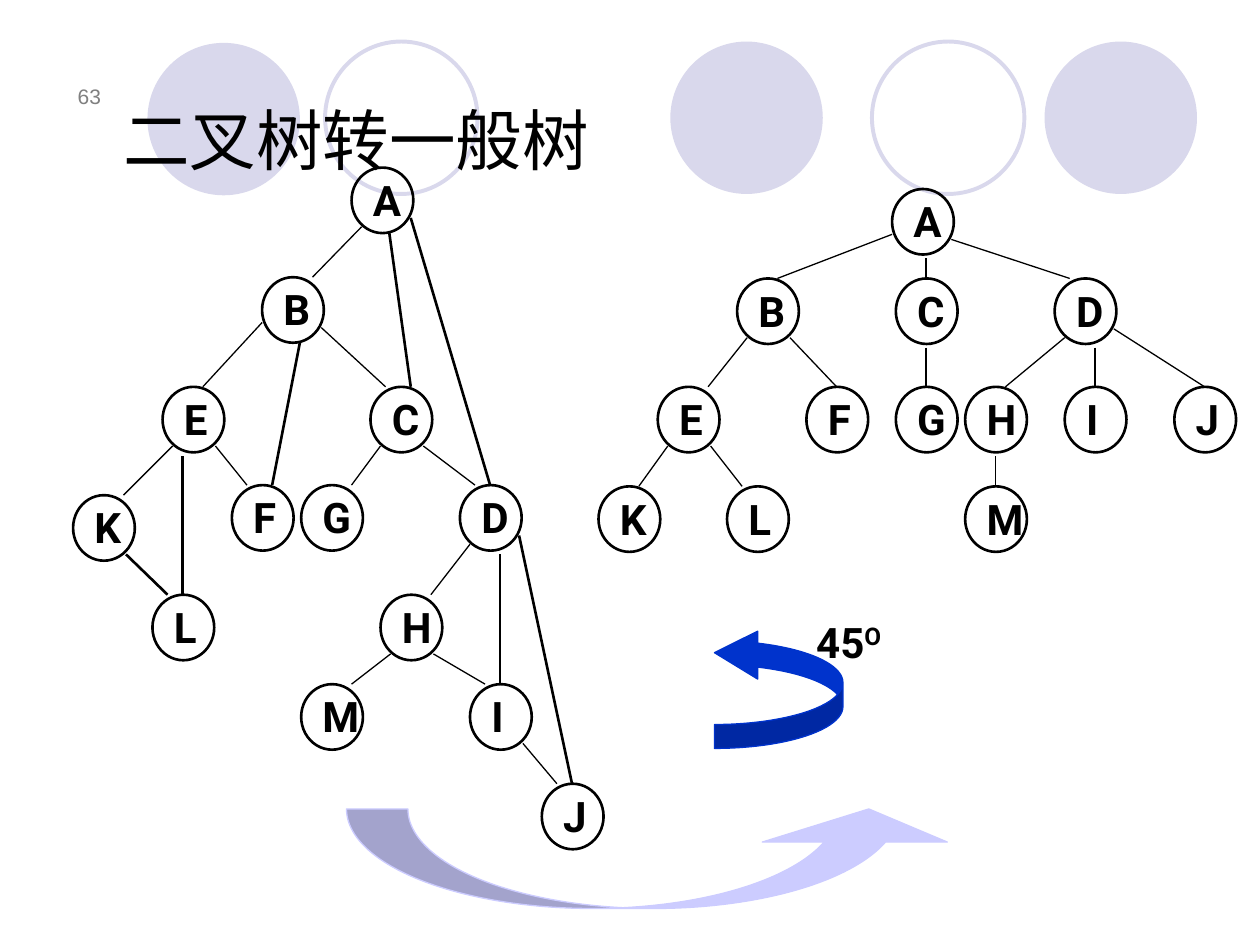
"""Build a slide that turns a binary tree into a general tree."""
import lxml.etree
import pptx
import pptx.dml.color
import pptx.enum.shapes
import pptx.enum.text
import pptx.oxml.ns
import pptx.util

RGB = pptx.dml.color.RGBColor
BLACK = RGB(0x00, 0x00, 0x00)
GREY = RGB(0x80, 0x80, 0x80)
PALE = RGB(0xD9, 0xD8, 0xEC)
LILAC = RGB(0xCC, 0xCC, 0xFF)
BLUE = RGB(0x00, 0x33, 0xCC)
KIND = pptx.enum.shapes.MSO_SHAPE
STRAIGHT = pptx.enum.shapes.MSO_CONNECTOR.STRAIGHT
ALIGN = pptx.enum.text.PP_ALIGN
ANCHOR = pptx.enum.text.MSO_ANCHOR
GROW = pptx.enum.text.MSO_AUTO_SIZE.SHAPE_TO_FIT_TEXT
SCALE = 9144
THIN, THICK = 0.75, 1.5

LABEL = {"name": "Roboto", "size": pptx.util.Pt(24), "bold": True}
TITLE = {"name": "Arial", "size": pptx.util.Pt(38)}
NUMBER = {"name": "Arial", "size": pptx.util.Pt(12)}
TIGHT = {"margin_left": 0, "margin_top": 0, "margin_right": 0,
         "margin_bottom": 0, "auto_size": GROW}
LOW = {"vertical_anchor": ANCHOR.BOTTOM}
CLOSE = {"line_spacing": 0.8}

DISC = 121
DISCS = [(532, 33), (829, 33), (117, 34)]
RINGS = [(692, 33), (258, 33)]

NODE = (49, 52)
INSET = (17, 13)
LETTER = (26, 32)
DROP = 55
PORTS = {
    "west": (0, 36), "low left": (8, 47), "base": (30, 52),
    "low right": (42, 47), "east": (47, 40),
    "top left": (12, 0), "top": (24, 0), "top right": (32, 0),
    "far right": (40, 0),
}

BINARY = {
    133: {"A": 279},
    220: {"B": 208},
    307: {"E": 129, "C": 294},
    385: {"F": 184, "G": 239, "D": 365},
    393: {"K": 58},
    472: {"L": 121, "H": 302},
    543: {"M": 239, "I": 373},
    622: {"J": 430},
}
GENERAL = {
    150: {"A": 708},
    221: {"B": 585, "C": 711, "D": 837},
    307: {"E": 522, "F": 640, "G": 711, "H": 766, "I": 845, "J": 932},
    386: {"K": 475, "L": 577, "M": 766},
}
LINKS = {
    ("low left", "far right"): "AB EK CG DH HM",
    ("west", "top right"): "BE",
    ("low right", "top left"): "EF CD HI IJ",
    ("east", "top left"): "BC",
}
ADDED = {
    ("base", "top right"): "AC BF",
    ("east", "top"): "AD DJ",
    ("low right", "top left"): "KL",
    ("drop", "top"): "EL DI",
}
BRANCHES = {
    ("west", "top right"): "AB",
    ("low left", "top right"): "EK DH",
    ("low left", "far right"): "BE",
    ("low right", "top left"): "EL",
    ("low right", "top"): "BF",
    ("east", "top left"): "AD",
    ("east", "top"): "DJ",
    ("drop", "top"): "AC DI CG HM",
}


def assign(item, values):
    """Set each named attribute of an item."""
    for name, value in values.items():
        setattr(item, name, value)


def shift(spot, step):
    """Move a point by a step."""
    return spot[0] + step[0], spot[1] + step[1]


def join(upper, lower, leave, enter):
    """Find both ends of an edge, where a drop falls straight to the child."""
    end = shift(lower, PORTS[enter])
    if leave == "drop":
        return (end[0], upper[1] + DROP, *end)
    return (*shift(upper, PORTS[leave]), *end)


class Board:
    """Hold the style and the current slide."""

    def __init__(self, deck):
        """Add a blank slide to the deck."""
        self.shapes = deck.slides.add_slide(deck.slide_layouts[6]).shapes

    def scale(self, sizes):
        """Turn px into EMU."""
        return [size * SCALE for size in sizes]

    def shape(self, kind, box, fill=None, line=None, width=THIN, bends=()):
        """Draw a preset shape."""
        item = self.shapes.add_shape(kind, *self.scale(box))
        item.shadow.inherit = False
        for paint, tone in ((item.fill, fill), (item.line.fill, line)):
            if tone is None:
                paint.background()
            else:
                paint.solid()
                paint.fore_color.rgb = tone
        if line is not None:
            item.line.width = pptx.util.Pt(width)
        for index, bend in enumerate(bends):
            item.adjustments[index] = bend
        return item

    def text(self, box, words, font, frame, para, tone=BLACK):
        """Write one paragraph and return it."""
        area = self.shapes.add_textbox(*self.scale(box)).text_frame
        area.word_wrap = True
        assign(area, frame)
        line = area.paragraphs[0]
        assign(line, para)
        self.run(line, words, font, tone)
        return line

    def run(self, line, words, font, tone=BLACK):
        """Add a styled run to a paragraph and return it."""
        part = line.add_run()
        part.text = words
        assign(part.font, font)
        part.font.color.rgb = tone
        return part

    def line(self, ends, width):
        """Draw a straight line."""
        item = self.shapes.add_connector(STRAIGHT, *self.scale(ends))
        item.line.color.rgb = BLACK
        item.line.width = pptx.util.Pt(width)
        lxml.etree.SubElement(item.element.spPr, pptx.oxml.ns.qn("a:effectLst"))

    def node(self, name, spot):
        """Draw a ringed letter."""
        self.text((*shift(spot, INSET), *LETTER), name, LABEL, TIGHT, CLOSE)
        self.shape(KIND.OVAL, (*spot, *NODE), line=BLACK, width=THICK)

    def tree(self, rows, edges):
        """Draw the edges of each width, then the nodes of each row."""
        spots = {name: (left, top) for top, row in rows.items()
                 for name, left in row.items()}
        for width, routes in edges.items():
            for (leave, enter), pairs in routes.items():
                for upper, lower in pairs.split():
                    ends = join(spots[upper], spots[lower], leave, enter)
                    self.line(ends, width)
        for name, spot in spots.items():
            self.node(name, spot)


def main():
    """Build and save the deck."""
    deck = pptx.Presentation()
    deck.slide_width, deck.slide_height = 1000 * SCALE, 750 * SCALE
    board = Board(deck)
    for spot in DISCS:
        board.shape(KIND.OVAL, (*spot, DISC, DISC), fill=PALE)
    for spot in RINGS:
        board.shape(KIND.OVAL, (*spot, DISC, DISC), line=PALE, width=2.25)
    board.text((35, 44, 55, 47), "63", NUMBER, LOW,
               {"alignment": ALIGN.RIGHT}, GREY)
    board.tree(BINARY, {THIN: LINKS, THICK: ADDED})
    board.text((88, 72, 581, 75), "二叉树转一般树", TITLE, LOW, {})
    board.shape(KIND.CURVED_UP_ARROW, (275, 642, 488, 79), LILAC, LILAC,
                bends=(0.617, 1.859, 0.333))
    turn = board.shape(KIND.CURVED_LEFT_ARROW, (567, 499, 102, 95), BLUE, BLUE,
                       bends=(0.2, 0.4, 0.361))
    turn.element.spPr.xfrm.set("flipV", "1")
    angle = board.text((638, 492, 87, 42), "45", LABEL, {"auto_size": GROW},
                       CLOSE)
    degree = board.run(angle, "O", LABEL)
    degree.font._element.set("baseline", "30000")
    board.tree(GENERAL, {THIN: BRANCHES})
    deck.save("out.pptx")


if __name__ == "__main__":
    main()
